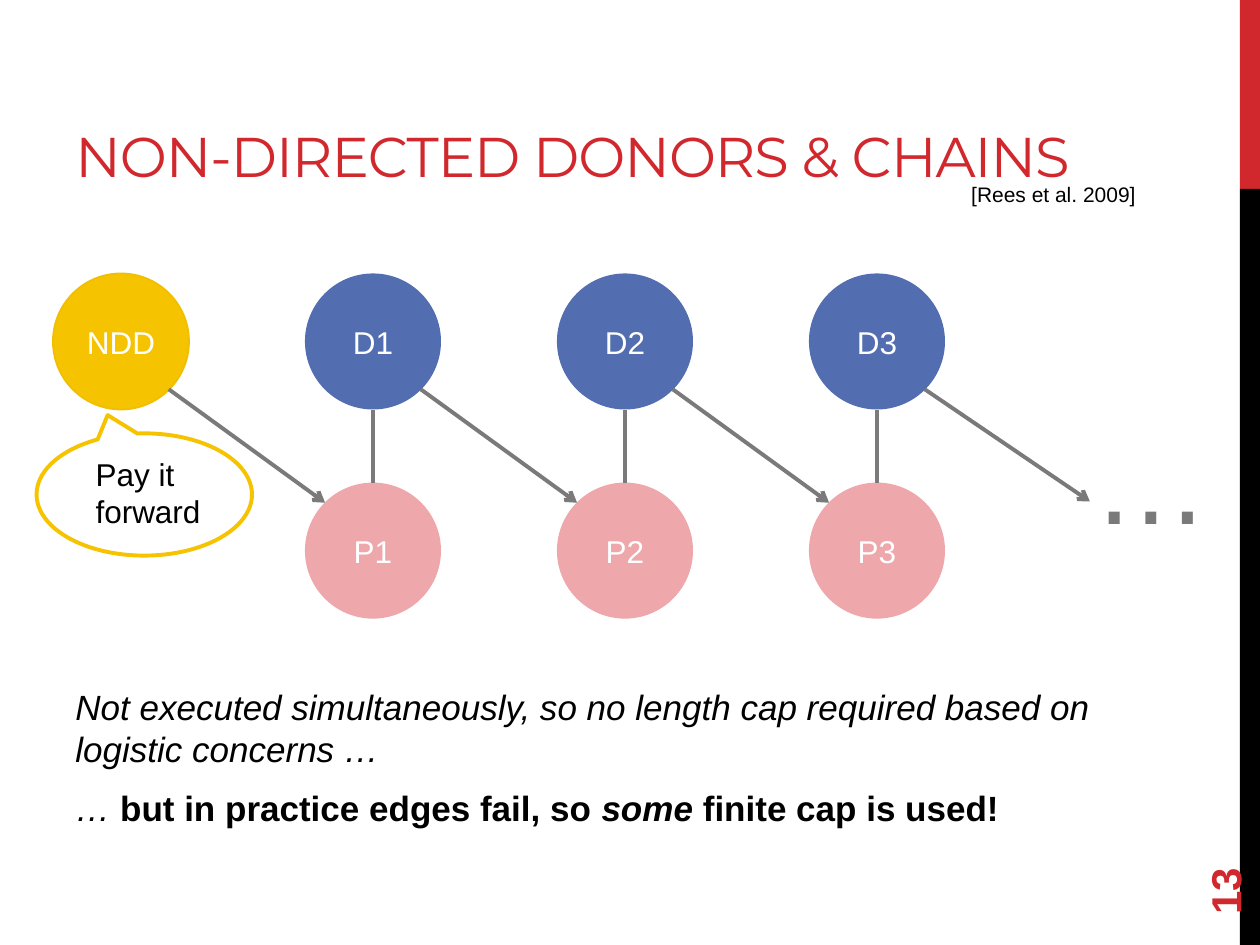
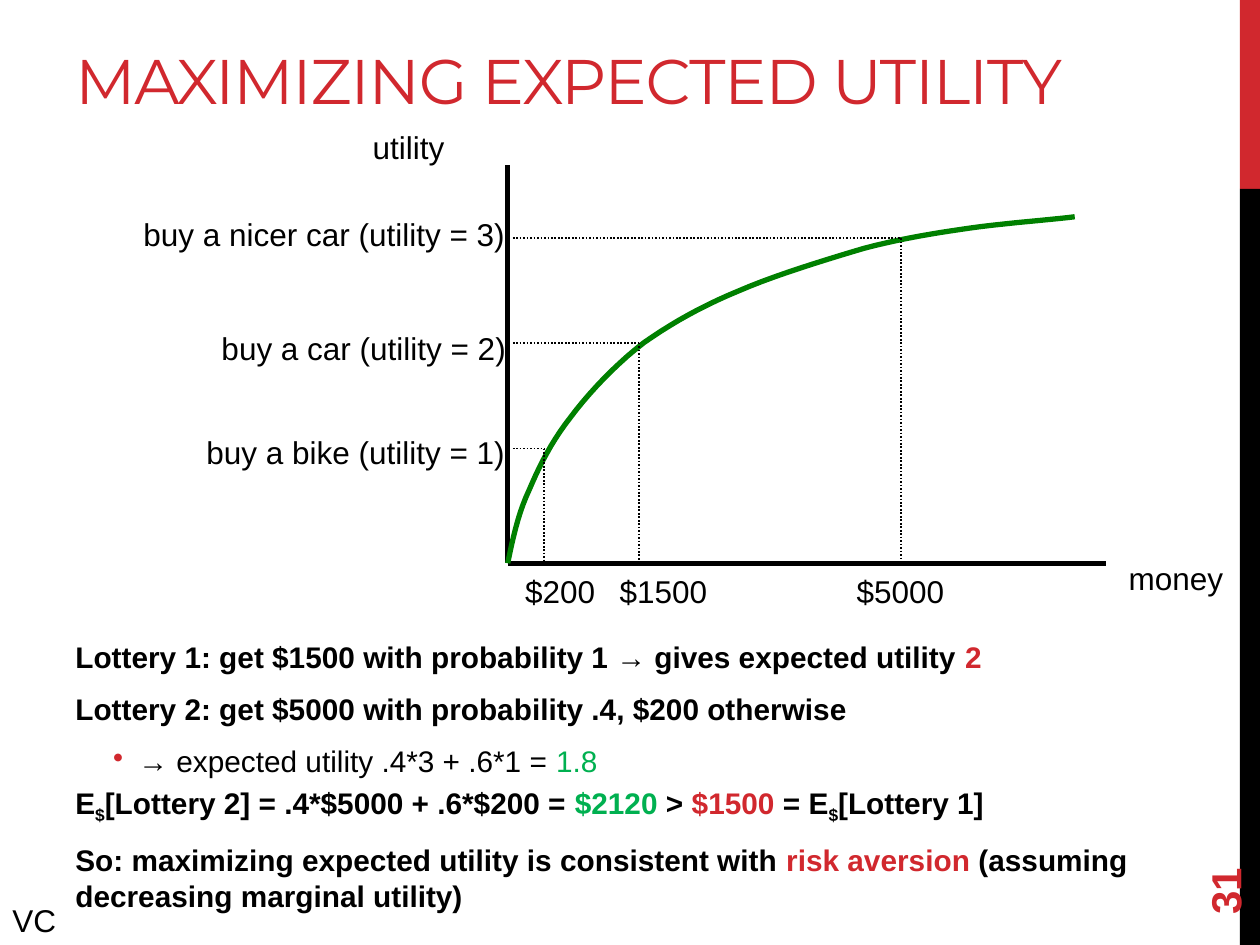
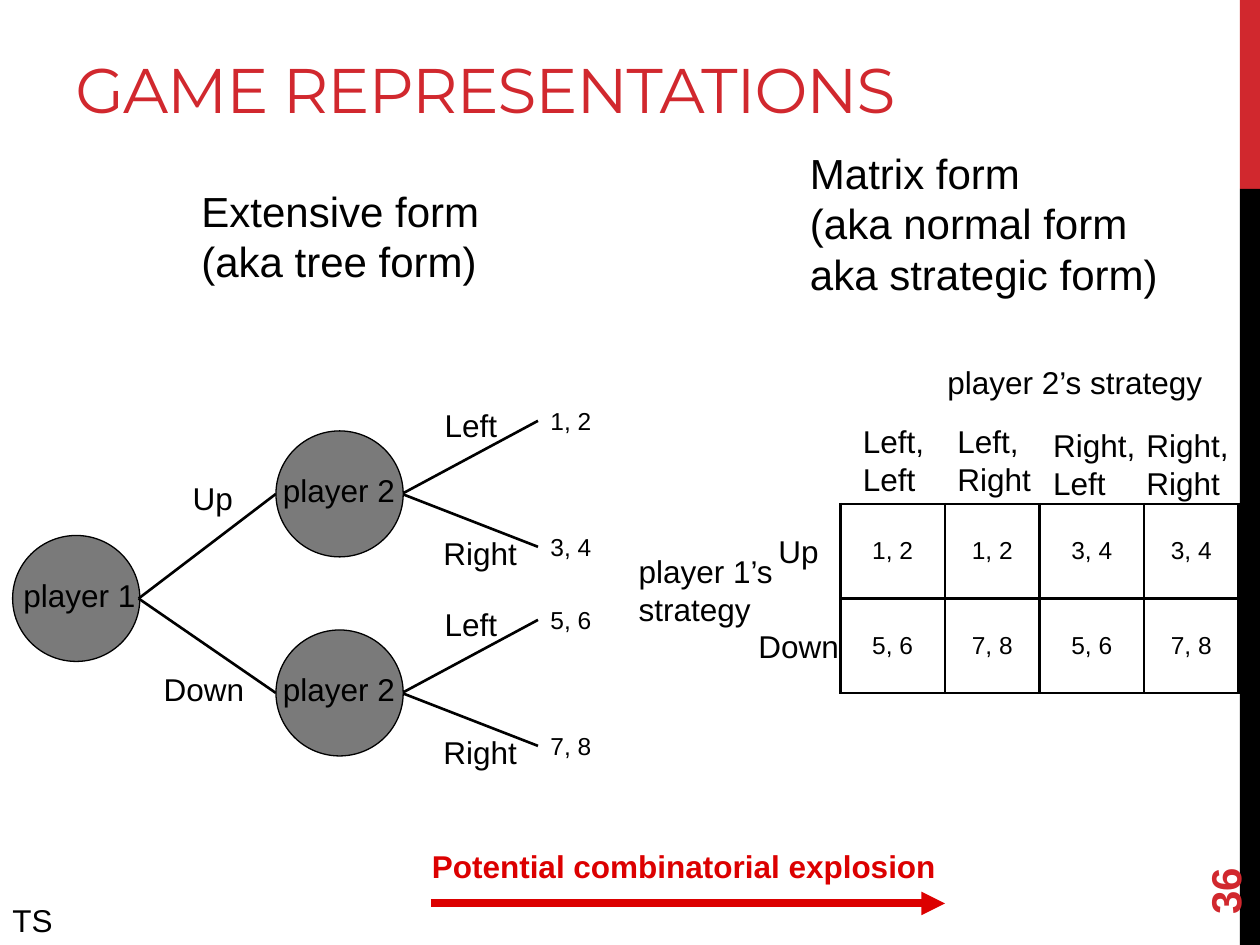
from dataclasses import dataclass
from typing import Optional

from lxml import etree
from pptx import Presentation
from pptx.dml.color import RGBColor
from pptx.enum import dml, shapes, text
from pptx.oxml import ns
from pptx.util import Inches, Pt

RED = RGBColor(0xD1, 0x28, 0x2E)
BRIGHT_RED = RGBColor(0xDC, 0x00, 0x00)
BLACK = RGBColor(0x00, 0x00, 0x00)
WHITE = RGBColor(0xFF, 0xFF, 0xFF)
GREY = RGBColor(0x7A, 0x7A, 0x7A)
BLUE = RGBColor(0x52, 0x6D, 0xB0)
PINK = RGBColor(0xEE, 0xA7, 0xAA)
YELLOW = RGBColor(0xF6, 0xC3, 0x00)
GOLD = RGBColor(0xF1, 0xBE, 0x00)
GREEN = RGBColor(0x00, 0xB0, 0x50)
CURVE_GREEN = RGBColor(0x00, 0x80, 0x00)
BODY_FONT, TITLE_FONT = "Arial", "Montserrat"


@dataclass
class Span:
    """A piece of a paragraph; None keeps the paragraph's own setting."""
    text: str
    color: Optional[RGBColor] = None
    bold: Optional[bool] = None
    italic: Optional[bool] = None
    subscript: bool = False


def add_element(parent, tag, **attributes):
    return etree.SubElement(parent, ns.qn(tag), attributes)


def style(para, size, color=BLACK, bold=None, italic=None, font=BODY_FONT):
    para.font.name = font
    para.font.size = Pt(size)
    para.font.color.rgb = color
    para.font.bold = bold
    para.font.italic = italic


def add_spans(para, spans):
    for span in spans:
        run = para.add_run()
        run.text = span.text
        if span.color is not None:
            run.font.color.rgb = span.color
        if span.bold is not None:
            run.font.bold = span.bold
        if span.italic is not None:
            run.font.italic = span.italic
        if span.subscript:
            run._r.get_or_add_rPr().set("baseline", "-25000")


def text_box(page, left, top, width, height, wrap=True):
    box = page.shapes.add_textbox(Inches(left), Inches(top), Inches(width), Inches(height))
    box.text_frame.word_wrap = wrap
    return box


def label(page, words, left, top, width, size=18, color=BLACK, bold=None,
          align=None, wrap=False):
    """Put plain text in a box whose height follows from its lines."""
    lines = words.split("\n")
    height = 0.1 + len(lines) * size / 60
    frame = text_box(page, left, top, width, height, wrap).text_frame
    for index, line in enumerate(lines):
        para = frame.add_paragraph() if index else frame.paragraphs[0]
        para.text = line
        para.alignment = align
        style(para, size, color, bold)


def body(page, left, top, width, height, size, paragraphs):
    """Fill a text area from (spans, bulleted, bold, italic) rows."""
    frame = text_box(page, left, top, width, height).text_frame
    for index, (spans, bulleted, bold, italic) in enumerate(paragraphs):
        para = frame.add_paragraph() if index else frame.paragraphs[0]
        if index:
            para.space_before = Pt(size * 0.2)
        para.space_after = Pt(0 if bulleted else 6)
        if bulleted:
            props = para._p.get_or_add_pPr()
            props.set("marL", str(Inches(0.5)))
            props.set("indent", str(Inches(-0.2)))
            add_element(add_element(props, "a:buClr"), "a:srgbClr", val=str(RED))
            add_element(props, "a:buChar", char="•")
        style(para, size, bold=bold, italic=italic)
        add_spans(para, spans)


def shape(page, kind, left, top, width, height, fill, outline=None, weight=1):
    item = page.shapes.add_shape(kind, Inches(left), Inches(top), Inches(width), Inches(height))
    item.shadow.inherit = False
    item.fill.solid()
    item.fill.fore_color.rgb = fill
    if outline is None:
        item.line.fill.background()
    else:
        item.line.color.rgb = outline
        item.line.width = Pt(weight)
    return item


def chain_node(page, name, left, top, fill, outline=None):
    node = shape(page, shapes.MSO_SHAPE.OVAL, left, top, 1.08, 1.08, fill, outline)
    node.text_frame.word_wrap = False
    node.text_frame.vertical_anchor = text.MSO_ANCHOR.MIDDLE
    para = node.text_frame.paragraphs[0]
    para.text = name
    para.alignment = text.PP_ALIGN.CENTER
    style(para, 18, WHITE)


def line(page, start, end, color=BLACK, weight=1.5, arrow=None, dotted=False):
    points = [Inches(value) for value in (*start, *end)]
    item = page.shapes.add_connector(shapes.MSO_CONNECTOR.STRAIGHT, *points)
    item.line.color.rgb = color
    item.line.width = Pt(weight)
    if dotted:
        item.line.dash_style = dml.MSO_LINE.ROUND_DOT
    if arrow:
        add_element(item.line._get_or_add_ln(), "a:tailEnd", type=arrow)
    add_element(item._element.spPr, "a:effectLst")


def bezier_points(start, curves, steps=10):
    """Sample a chain of cubic curves, each given as two controls and an end."""
    points = []
    for first, second, end in curves:
        for step in range(1, steps + 1):
            t = step / steps
            weights = ((1 - t) ** 3, 3 * t * (1 - t) ** 2, 3 * t * t * (1 - t), t ** 3)
            corners = (start, first, second, end)
            points.append(tuple(
                Inches(sum(w * corner[axis] for w, corner in zip(weights, corners)))
                for axis in (0, 1)))
        start = end
    return points


def curve(page, start, curves, color, weight):
    builder = page.shapes.build_freeform(Inches(start[0]), Inches(start[1]))
    builder.add_line_segments(bezier_points(start, curves), close=False)
    item = builder.convert_to_shape()
    item.shadow.inherit = False
    item.fill.background()
    item.line.color.rgb = color
    item.line.width = Pt(weight)


def payoff_table(page, left, top, widths, row_height, rows):
    frame = page.shapes.add_table(len(rows), len(widths), Inches(left), Inches(top),
                                  Inches(sum(widths)), Inches(row_height * len(rows)))
    table = frame.table
    table.first_row = table.horz_banding = False
    for column, width in zip(table.columns, widths):
        column.width = Inches(width)
    for table_row, values in zip(table.rows, rows):
        table_row.height = Inches(row_height)
        for cell, value in zip(table_row.cells, values):
            cell.vertical_anchor = text.MSO_ANCHOR.MIDDLE
            para = cell.text_frame.paragraphs[0]
            para.text = value
            para.alignment = text.PP_ALIGN.CENTER
            style(para, 14)
            props = cell._tc.get_or_add_tcPr()
            for side in ("a:lnL", "a:lnR", "a:lnT", "a:lnB"):
                border = add_element(props, side, w=str(Pt(1.5)))
                add_element(add_element(border, "a:solidFill"), "a:srgbClr", val=str(BLACK))
            cell.fill.background()


def new_page(deck, title, number, top, height, size=36):
    """Add a page with its side band, title and rotated page number."""
    page = deck.slides.add_slide(deck.slide_layouts[6])
    for band_top, band_height, color in ((0, 1.5, RED), (1.5, 6, BLACK)):
        shape(page, shapes.MSO_SHAPE.RECTANGLE, 9.84, band_top, 0.16, band_height, color)

    heading = text_box(page, 0.5, top, 9.18, height).text_frame
    heading.vertical_anchor = text.MSO_ANCHOR.BOTTOM
    para = heading.paragraphs[0]
    style(para, size, RED, font=TITLE_FONT)
    add_spans(para, [Span(title)])
    para.runs[0]._r.get_or_add_rPr().set("spc", "-60")

    box = text_box(page, 9, 6.44, 1.44, 0.4)
    box.rotation = 270
    box.text_frame.vertical_anchor = text.MSO_ANCHOR.MIDDLE
    para = box.text_frame.paragraphs[0]
    para.text = str(number)
    style(para, 24, RED, bold=True)
    return page


def chains_page(deck):
    page = new_page(deck, "NON-DIRECTED DONORS & CHAINS", 13, 0.3, 1.25, 32)
    body(page, 0.5, 5.39, 9, 1.55, 20, [
        ([Span("Not executed simultaneously, so no length cap required based on "
               "logistic concerns …")], False, None, True),
        ([Span("… "), Span("but in practice edges fail, so ", bold=True, italic=False),
          Span("some", bold=True), Span(" finite cap is used!", bold=True, italic=False)],
         False, None, True),
    ])
    donor_top, patient_top, first, step = 2.17, 3.83, 0.42, 2
    chain_node(page, "NDD", first, donor_top, YELLOW, GOLD)
    for pair in (1, 2, 3):
        left = first + pair * step
        chain_node(page, f"P{pair}", left, patient_top, PINK)
        chain_node(page, f"D{pair}", left, donor_top, BLUE)
        line(page, (left + 0.54, patient_top), (left + 0.54, donor_top + 1.08), GREY, 2.25)
        line(page, (left - 1.08, 3.09), (left + 0.16, 3.99), GREY, 2.25, "arrow")
    line(page, (7.34, 3.09), (8.65, 3.98), GREY, 2.25, "arrow")
    label(page, "…", 8.58, 3.2, 1, 66, GREY, wrap=True)

    callout = shape(page, shapes.MSO_SHAPE.OVAL_CALLOUT, 0.29, 3.44, 1.71, 0.97,
                    WHITE, YELLOW, 2.25)
    callout.adjustments[0], callout.adjustments[1] = -0.17, -0.65
    text_box_top = 3.56
    label(page, "Pay it\nforward", 0.66, text_box_top, 1.59, wrap=True)
    label(page, "[Rees et al. 2009]", 7.61, 1.39, 2.92, 12, wrap=True)


def utility_page(deck):
    page = new_page(deck, "MAXIMIZING EXPECTED UTILITY", 31, 0.17, 0.81)
    body(page, 0.5, 5.02, 8.87, 2.04, 17, [
        ([Span("Lottery 1: get $1500 with probability 1 → gives expected utility "),
          Span("2", RED)], False, True, None),
        ([Span("Lottery 2: get $5000 with probability .4, $200 otherwise")],
         False, True, None),
        ([Span("→ expected utility .4*3 + .6*1 = "), Span("1.8", GREEN)],
         True, None, None),
        ([Span("E"), Span("$", subscript=True),
          Span("[Lottery 2] = .4*$5000 + .6*$200 = "), Span("$2120", GREEN),
          Span(" > "), Span("$1500", RED), Span(" = E"),
          Span("$", subscript=True), Span("[Lottery 1]")], False, True, None),
        ([Span("So: maximizing expected utility is consistent with "),
          Span("risk aversion", RED), Span(" (assuming decreasing marginal utility)")],
         False, True, None),
    ])
    origin = axis_x, axis_y = 4.03, 4.47
    line(page, (axis_x, 1.31), origin, weight=3)
    line(page, origin, (8.78, axis_y), weight=3)
    curve(page, origin, [
        ((4.07, 4.28), (4.11, 4.08), (4.2, 3.89)),
        ((4.28, 3.7), (4.38, 3.5), (4.53, 3.31)),
        ((4.68, 3.11), (4.89, 2.89), (5.11, 2.72)),
        ((5.34, 2.56), (5.57, 2.43), (5.86, 2.31)),
        ((6.16, 2.18), (6.56, 2.06), (6.86, 1.97)),
        ((7.17, 1.89), (7.42, 1.85), (7.7, 1.81)),
        ((7.98, 1.77), (8.39, 1.74), (8.53, 1.72)),
    ], CURVE_GREEN, 3)
    for words, left, top, width in (
            ("utility", 2.86, 0.97, 0.77), ("money", 8.86, 4.39, 0.95),
            ("$200", 4.07, 4.49, 0.76), ("$1500", 4.82, 4.49, 0.9),
            ("$5000", 6.7, 4.49, 0.9), ("buy a bike (utility = 1)", 1.54, 3.39, 2.57),
            ("buy a car (utility = 2)", 1.66, 2.56, 2.46),
            ("buy a nicer car (utility = 3)", 1.04, 1.66, 3.07)):
        label(page, words, left, top, width)
    for money, utility in ((4.32, 3.56), (5.07, 2.72), (7.15, 1.89)):
        line(page, (4.07, utility), (money, utility), weight=1, dotted=True)
        line(page, (money, utility), (money, axis_y), weight=1, dotted=True)
    label(page, "VC", 0, 7.1, 0.56, wrap=True)


def player(page, name, left, top, label_left):
    shape(page, shapes.MSO_SHAPE.OVAL, left, top, 1.01, 1, GREY, BLACK, 0.75)
    label(page, name, label_left, top + 0.27, 1.1, align=text.PP_ALIGN.CENTER)


def game_tree(page):
    label(page, "Extensive form\n(aka tree form)", 1.5, 1.42, 2.52, 24)
    player(page, "player 1", 0.1, 4.25, 0.08)
    for move, left, move_top, width, top, payoffs in (
            ("Up", 1.43, 3.75, 0.52, 3.42, ("1, 2", "3, 4")),
            ("Down", 1.2, 5.27, 0.85, 5, ("5, 6", "7, 8"))):
        middle = top + 0.5
        line(page, (1.1, 4.75), (2.19, middle))
        label(page, move, left, move_top, width)
        for payoff, leaf_top in zip(payoffs, (top - 0.25, top + 0.75)):
            line(page, (3.19, middle), (4.27, leaf_top + 0.17))
            label(page, payoff, 4.27, leaf_top, 0.53, 14)
        label(page, "Left", 3.43, top - 0.25, 0.62)
        label(page, "Right", 3.42, top + 0.77, 0.79)
        player(page, "player 2", 2.19, top, 2.14)


def game_matrix(page):
    label(page, "Matrix form\n(aka normal form\naka strategic form)", 6.33, 1.12, 2.99, 24)
    for words, left, top, width in (
            ("player 1’s\nstrategy", 4.97, 4.33, 1.27),
            ("player 2’s strategy", 7.42, 2.83, 2.32),
            ("Up", 6.08, 4.17, 0.52), ("Down", 5.92, 4.93, 0.85),
            ("Left,\nLeft", 6.75, 3.3, 0.69), ("Left,\nRight", 7.5, 3.3, 0.79),
            ("Right,\nLeft", 8.26, 3.33, 0.86), ("Right,\nRight", 9, 3.33, 0.86)):
        label(page, words, left, top, width)
    payoff_table(page, 6.67, 4, (0.83, 0.75, 0.83, 0.75), 0.75, [
        ("1, 2", "1, 2", "3, 4", "3, 4"),
        ("5, 6", "7, 8", "5, 6", "7, 8"),
    ])


def games_page(deck):
    page = new_page(deck, "GAME REPRESENTATIONS", 36, 0.17, 0.88)
    game_tree(page)
    game_matrix(page)
    line(page, (3.42, 7.17), (7.5, 7.17), BRIGHT_RED, 4.5, "triangle")
    label(page, "Potential combinatorial explosion", 3.33, 6.67, 4.24,
          color=BRIGHT_RED, bold=True)
    label(page, "TS", 0, 7.1, 0.56, wrap=True)


def main():
    deck = Presentation()
    deck.slide_width, deck.slide_height = Inches(10), Inches(7.5)
    chains_page(deck)
    utility_page(deck)
    games_page(deck)
    deck.save("out.pptx")


if __name__ == "__main__":
    main()
